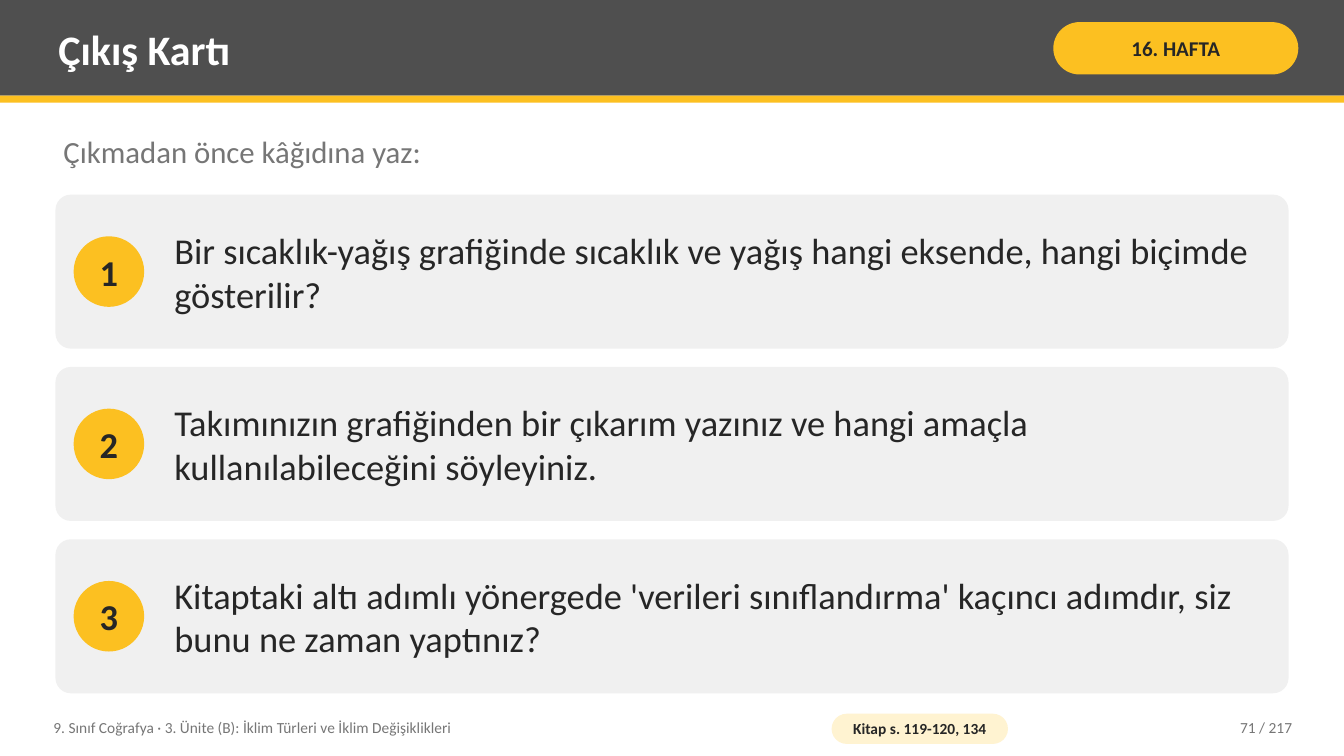
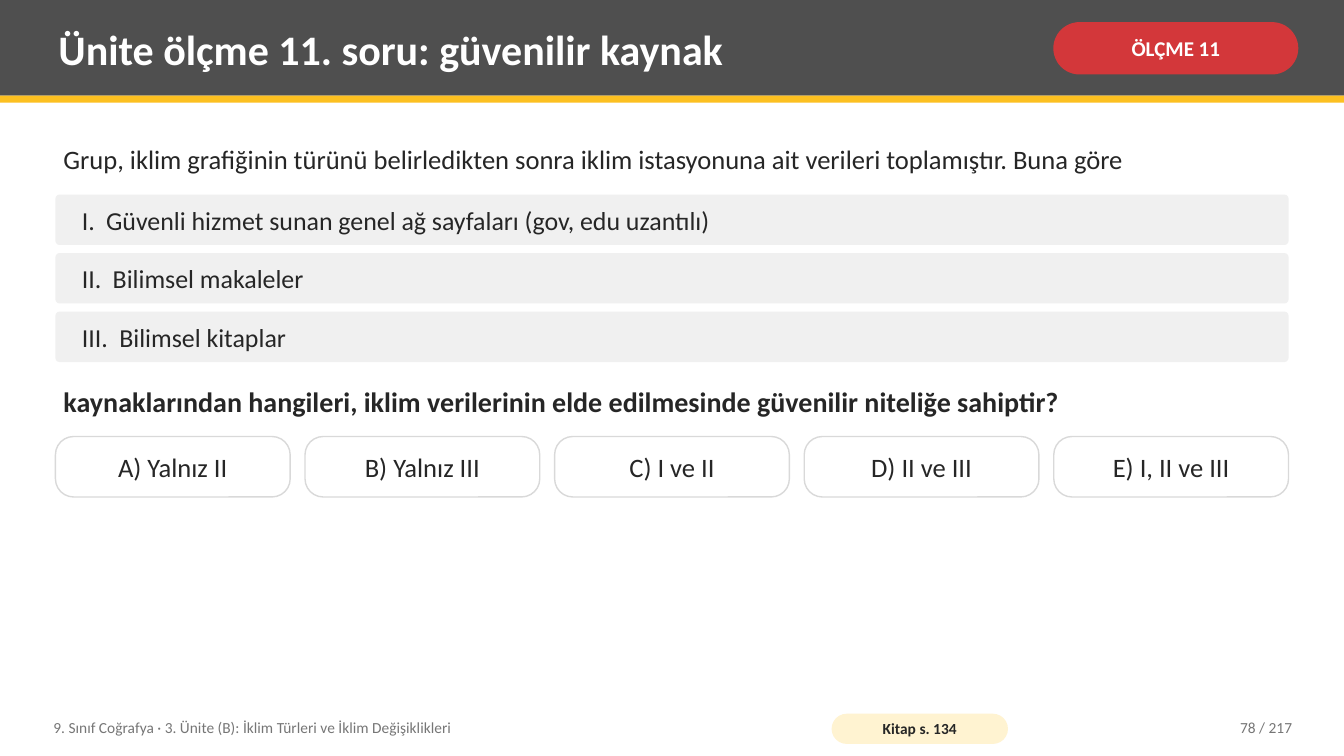
"""Build two geography lesson slides: an exit card and a unit assessment question."""
from lxml import etree
from pptx import Presentation
from pptx.dml.color import RGBColor
from pptx.enum import shapes, text
from pptx.oxml import ns
from pptx.util import Pt

FONT = "Calibri"
DARK = RGBColor(0x4F, 0x4F, 0x4F)
YELLOW = RGBColor(0xFC, 0xC0, 0x21)
RED = RGBColor(0xD3, 0x37, 0x3A)
CREAM = RGBColor(0xFF, 0xF3, 0xD1)
PALE = RGBColor(0xF0, 0xF0, 0xF0)
BORDER = RGBColor(0xD9, 0xD9, 0xD9)
WHITE = RGBColor(0xFF, 0xFF, 0xFF)
INK = RGBColor(0x26, 0x26, 0x26)
GREY = RGBColor(0x76, 0x76, 0x76)

RECTANGLE = shapes.MSO_SHAPE.RECTANGLE
ROUNDED = shapes.MSO_SHAPE.ROUNDED_RECTANGLE
OVAL = shapes.MSO_SHAPE.OVAL
LEFT, CENTER, RIGHT = text.PP_ALIGN.LEFT, text.PP_ALIGN.CENTER, text.PP_ALIGN.RIGHT
MIDDLE, TOP = text.MSO_ANCHOR.MIDDLE, text.MSO_ANCHOR.TOP

SLIDE_WIDTH, SLIDE_HEIGHT = 960, 540
MARGIN, CONTENT_WIDTH = 39.6, 880.8
BODY_TOP = 139


def add_panel(slide, kind, box, fill, radius=None, line=None):
    """Add a filled shape without a shadow."""
    shape = slide.shapes.add_shape(kind, *map(Pt, box))
    shape.shadow.inherit = False
    shape.fill.solid()
    shape.fill.fore_color.rgb = fill
    if radius is not None:
        shape.adjustments[0] = radius
    if line is None:
        shape.line.fill.background()
    else:
        shape.line.color.rgb = line
        shape.line.width = Pt(1)
    return shape


def write(shape, content, size, color=INK, bold=False, align=LEFT, anchor=MIDDLE,
          inset=(5.76, 2.88), wrap=True, tab=None):
    """Write one paragraph into a shape."""
    frame = shape.text_frame
    frame.word_wrap = wrap
    frame.vertical_anchor = anchor
    frame.margin_left = frame.margin_right = Pt(inset[0])
    frame.margin_top = frame.margin_bottom = Pt(inset[1])
    paragraph = frame.paragraphs[0]
    paragraph.text = content
    paragraph.alignment = align
    if tab is not None:
        properties = paragraph._p.get_or_add_pPr()
        tab_list = etree.SubElement(properties, ns.qn("a:tabLst"))
        etree.SubElement(tab_list, ns.qn("a:tab"), pos=str(Pt(tab)), algn="l")
    font = paragraph.font
    font.name, font.size, font.bold = FONT, Pt(size), bold
    font.color.rgb = color


presentation = Presentation()
presentation.slide_width = Pt(SLIDE_WIDTH)
presentation.slide_height = Pt(SLIDE_HEIGHT)

frames = [
    ("Çıkış Kartı", "16. HAFTA", YELLOW, INK, "Kitap s. 119-120, 134", "71 / 217"),
    ("Ünite ölçme 11. soru: güvenilir kaynak", "ÖLÇME 11", RED, WHITE, "Kitap s. 134", "78 / 217"),
]
for title, badge, badge_fill, badge_color, pages, number in frames:
    slide = presentation.slides.add_slide(presentation.slide_layouts[6])
    add_panel(slide, RECTANGLE, (0, 0, SLIDE_WIDTH, 68.4), DARK)
    add_panel(slide, RECTANGLE, (0, 68.4, SLIDE_WIDTH, 5), YELLOW)
    title_box = slide.shapes.add_textbox(Pt(36), Pt(5), Pt(702), Pt(59))
    write(title_box, title, 30, WHITE, bold=True)
    badge_pill = add_panel(slide, ROUNDED, (752.4, 15.8, 175, 37.4), badge_fill, 0.5)
    write(badge_pill, badge, 15, badge_color, bold=True, align=CENTER, inset=(3.6, 1.44))

    unit_box = slide.shapes.add_textbox(Pt(32.4), Pt(506.9), Pt(547.2), Pt(25.9))
    write(unit_box, "9. Sınıf Coğrafya · 3. Ünite (B): İklim Türleri ve İklim Değişiklikleri", 11, GREY)
    pages_pill = add_panel(slide, ROUNDED, (594, 509.8, 126, 21.6), CREAM, 0.5)
    write(pages_pill, pages, 11, bold=True, align=CENTER, inset=(2.88, 0))
    number_box = slide.shapes.add_textbox(Pt(813.6), Pt(506.9), Pt(115.2), Pt(25.9))
    write(number_box, number, 11, GREY, align=RIGHT)

exit_slide, question_slide = presentation.slides

prompt_box = exit_slide.shapes.add_textbox(Pt(MARGIN), Pt(92.2), Pt(CONTENT_WIDTH), Pt(39.6))
write(prompt_box, "Çıkmadan önce kâğıdına yaz:", 22, GREY, anchor=TOP)

CARD_HEIGHT, CARD_PITCH, CIRCLE = 110, 123.1, 50.4
exit_questions = [
    "Bir sıcaklık-yağış grafiğinde sıcaklık ve yağış hangi eksende, hangi biçimde gösterilir?",
    "Takımınızın grafiğinden bir çıkarım yazınız ve hangi amaçla kullanılabileceğini söyleyiniz.",
    "Kitaptaki altı adımlı yönergede 'verileri sınıflandırma' kaçıncı adımdır, siz bunu ne zaman yaptınız?",
]
for index, question in enumerate(exit_questions):
    top = BODY_TOP + index * CARD_PITCH
    add_panel(exit_slide, ROUNDED, (MARGIN, top, CONTENT_WIDTH, CARD_HEIGHT), PALE, 0.1)
    circle_top = top + (CARD_HEIGHT - CIRCLE) / 2
    circle = add_panel(exit_slide, OVAL, (52.6, circle_top, CIRCLE, CIRCLE), YELLOW)
    write(circle, str(index + 1), 26, bold=True, align=CENTER, inset=(0, 0), wrap=False)
    question_box = exit_slide.shapes.add_textbox(Pt(118.8), Pt(top), Pt(787), Pt(CARD_HEIGHT))
    write(question_box, question, 26)

intro_box = question_slide.shapes.add_textbox(Pt(MARGIN), Pt(92.2), Pt(CONTENT_WIDTH), Pt(43.2))
write(intro_box, "Grup, iklim grafiğinin türünü belirledikten sonra iklim istasyonuna ait verileri "
      "toplamıştır. Buna göre", 19)

STATEMENT_HEIGHT, STATEMENT_PITCH = 36, 41.8
statements = [
    ("I.", "Güvenli hizmet sunan genel ağ sayfaları (gov, edu uzantılı)"),
    ("II.", "Bilimsel makaleler"),
    ("III.", "Bilimsel kitaplar"),
]
for index, (numeral, statement) in enumerate(statements):
    box = (MARGIN, BODY_TOP + index * STATEMENT_PITCH, CONTENT_WIDTH, STATEMENT_HEIGHT)
    bar = add_panel(question_slide, ROUNDED, box, PALE, 0.08)
    write(bar, f"{numeral}\t{statement}", 18.5, inset=(18, 5.76), tab=17.4 + index * 4.7)

stem_box = question_slide.shapes.add_textbox(Pt(MARGIN), Pt(268.6), Pt(CONTENT_WIDTH), Pt(36))
write(stem_box, "kaynaklarından hangileri, iklim verilerinin elde edilmesinde güvenilir niteliğe "
      "sahiptir?", 20, bold=True)

options = ["A) Yalnız II", "B) Yalnız III", "C) I ve II", "D) II ve III", "E) I, II ve III"]
OPTION_GAP = 10.6
option_width = (CONTENT_WIDTH - OPTION_GAP * (len(options) - 1)) / len(options)
for index, option in enumerate(options):
    left = MARGIN + index * (option_width + OPTION_GAP)
    button = add_panel(question_slide, ROUNDED, (left, 311.8, option_width, 43.2), WHITE, 0.3, BORDER)
    write(button, option, 19, align=CENTER, inset=(10, 5.76))

presentation.save("out.pptx")
